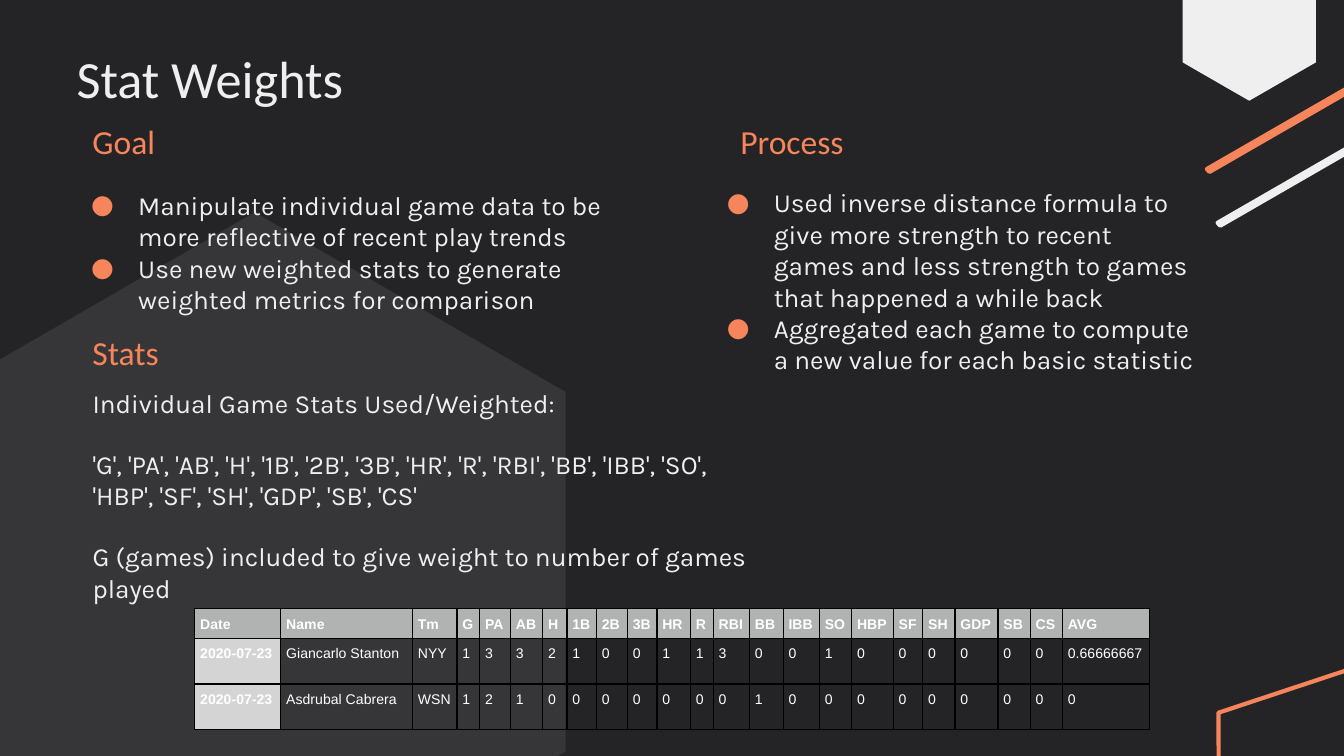
from lxml import etree
from pptx import Presentation
from pptx.dml.color import RGBColor
from pptx.enum.shapes import MSO_SHAPE as Shape
from pptx.enum.text import MSO_ANCHOR as Anchor, MSO_AUTO_SIZE as AutoSize, PP_ALIGN as Align
from pptx.oxml.ns import qn
from pptx.util import Inches, Pt

DARK, PANEL, LIGHT, ORANGE = "242426", "363639", "EFEFEF", "F7855B"
HEADER_GREY, DATE_GREY, WHITE, BLACK = "B0B3B2", "D4D4D4", "FFFFFF", "000000"

TITLE = {"name": "Calibri", "size": Pt(28), "bold": False}
HEADING = {"name": "Calibri", "size": Pt(18)}
BODY = {"name": "Karla", "size": Pt(14)}
CELL = {"name": "Arial", "size": Pt(7.5)}
FRAME = {"word_wrap": True, "auto_size": AutoSize.NONE}
FRAME_MARGINS = ("margin_left", "margin_top", "margin_right", "margin_bottom")

GOALS = [
    "Manipulate individual game data to be more reflective of recent play trends",
    "Use new weighted stats to generate weighted metrics for comparison",
]
PROCESS = [
    "Used inverse distance formula to give more strength to recent games "
    "and less strength to games that happened a while back",
    "Aggregated each game to compute a new value for each basic statistic",
]
STATS = [
    "Individual Game Stats Used/Weighted:",
    "'G', 'PA', 'AB', 'H', '1B', '2B', '3B', 'HR', 'R', 'RBI', 'BB', 'IBB', 'SO', "
    "'HBP', 'SF', 'SH', 'GDP', 'SB', 'CS'",
    "G (games) included to give weight to number of games played",
]
GAME_ROWS = [
    ["Date", "Name", "Tm", *"G PA AB H 1B 2B 3B HR R RBI BB IBB SO HBP SF SH GDP SB CS AVG".split()],
    ["2020-07-23", "Giancarlo Stanton", "NYY", *"1332100113001000000", "0.66666667"],
    ["2020-07-23", "Asdrubal Cabrera", "WSN", *"1210000000100000000", "0"],
]
COLUMN_WIDTHS = [0.64, 0.98, 0.33, 0.17, 0.23, 0.24, 0.18, 0.22, 0.23, 0.22, 0.25, 0.17,
                 0.27, 0.25, 0.27, 0.24, 0.31, 0.22, 0.24, 0.32, 0.24, 0.24, 0.65]
ROW_HEIGHTS = [0.22, 0.34, 0.34]


def color(value):
    return RGBColor.from_string(value)


def set_values(target, values):
    for name, value in values.items():
        setattr(target, name, value)


def paint(fill, value):
    fill.solid()
    fill.fore_color.rgb = color(value)


def style_font(font, values, value):
    set_values(font, values)
    font.color.rgb = color(value)


def add_outline(slide, box, fractions, value, line_width=None):
    left, top, width, height = box
    points = [(Inches(left + x * width), Inches(top + y * height)) for x, y in fractions]
    builder = slide.shapes.build_freeform(*points[0])
    builder.add_line_segments(points[1:], close=True)
    shape = builder.convert_to_shape()
    shape.shadow.inherit = False
    paint(shape.fill, value)
    if line_width:
        shape.line.width = Pt(line_width)
        shape.line.color.rgb = color(value)
        etree.SubElement(shape.line._get_or_add_ln(), qn("a:round"))
    else:
        shape.line.fill.background()


def add_hexagon(slide, box, value):
    corners = [(0.5, 0), (0, 0.25), (0, 0.75), (0.5, 1), (1, 0.75), (1, 0.25)]
    add_outline(slide, box, corners, value)


def add_stripe(slide, box, value):
    corners = [(0.99, 0), (0, 0.98), (0.01, 1), (1, 0.02)]
    add_outline(slide, box, corners, value, 2.25)


def add_pentagon(slide, box):
    shape = slide.shapes.add_shape(Shape.REGULAR_PENTAGON, *map(Inches, box))
    shape.rotation = 305.7
    shape.shadow.inherit = False
    shape.fill.background()
    shape.line.width = Pt(2.25)
    shape.line.color.rgb = color(ORANGE)


def add_bullet(paragraph):
    properties = paragraph._p.get_or_add_pPr()
    properties.set("marL", str(Inches(0.5)))
    properties.set("indent", str(-Inches(0.35)))
    bullet_color = etree.SubElement(properties, qn("a:buClr"))
    etree.SubElement(bullet_color, qn("a:srgbClr"), val=ORANGE)
    etree.SubElement(properties, qn("a:buFont"), typeface=BODY["name"])
    etree.SubElement(properties, qn("a:buChar"), char="●")


def fill_text(shape, lines, font, value, anchor=Anchor.TOP, bullets=False, gap=0):
    frame = shape.text_frame
    set_values(frame, FRAME | {"vertical_anchor": anchor})
    set_values(frame, dict.fromkeys(FRAME_MARGINS, Inches(0.1)))
    for index, line in enumerate(lines):
        paragraph = frame.add_paragraph() if index else frame.paragraphs[0]
        if bullets:
            add_bullet(paragraph)
        paragraph.text = line
        paragraph.alignment = Align.LEFT
        paragraph.space_before = Pt(gap if index else 0)
        style_font(paragraph.font, font, value)


def add_title(slide, box, text):
    title = slide.shapes.title
    set_values(title, dict(zip(("left", "top", "width", "height"), map(Inches, box))))
    fill_text(title, [text], TITLE, LIGHT, Anchor.BOTTOM)


def add_heading(slide, box, text):
    fill_text(slide.shapes.add_textbox(*map(Inches, box)), [text], HEADING, ORANGE, Anchor.BOTTOM)


def add_body(slide, box, lines, **options):
    fill_text(slide.shapes.add_textbox(*map(Inches, box)), lines, BODY, LIGHT, **options)


def add_borders(cell):
    properties = cell._tc.get_or_add_tcPr()
    for side in ("lnL", "lnR", "lnT", "lnB"):
        line = etree.SubElement(properties, qn(f"a:{side}"), w=str(Pt(0.75)))
        fill = etree.SubElement(line, qn("a:solidFill"))
        etree.SubElement(fill, qn("a:srgbClr"), val=BLACK)


def add_game_table(slide, left, top):
    box = (left, top, sum(COLUMN_WIDTHS), sum(ROW_HEIGHTS))
    frame = slide.shapes.add_table(len(GAME_ROWS), len(COLUMN_WIDTHS), *map(Inches, box))
    table = frame.table
    set_values(table, {"first_row": False, "horz_banding": False})
    for column, width in zip(table.columns, COLUMN_WIDTHS):
        column.width = Inches(width)
    for row, height in zip(table.rows, ROW_HEIGHTS):
        row.height = Inches(height)
    for row_index, values in enumerate(GAME_ROWS):
        for column_index, value in enumerate(values):
            cell = table.cell(row_index, column_index)
            set_values(cell, dict.fromkeys(FRAME_MARGINS, Inches(0.04)))
            add_borders(cell)
            if row_index == 0:
                paint(cell.fill, HEADER_GREY)
            elif column_index == 0:
                paint(cell.fill, DATE_GREY)
            else:
                cell.fill.background()
            paragraph = cell.text_frame.paragraphs[0]
            paragraph.text = value
            paragraph.line_spacing = 1.15
            bold = row_index == 0 or column_index == 0
            style_font(paragraph.font, CELL | {"bold": bold}, WHITE)


def add_decoration(slide):
    add_hexagon(slide, (-0.42, 1.58, 4.63, 5.35), PANEL)
    add_hexagon(slide, (8.8, -0.39, 0.99, 1.14), LIGHT)
    add_pentagon(slide, (8.88, 4.98, 1.63, 1.55))
    add_stripe(slide, (9.06, 0.58, 1.89, 1.1), LIGHT)
    add_stripe(slide, (8.98, 0.18, 1.89, 1.1), ORANGE)


def main():
    presentation = Presentation()
    set_values(presentation, {"slide_width": Inches(10), "slide_height": Inches(10 * 9 / 16)})
    slide = presentation.slides.add_slide(presentation.slide_layouts[5])
    paint(slide.background.fill, DARK)
    add_decoration(slide)
    add_title(slide, (0.47, 0.28, 8.88, 0.63), "Stat Weights")
    add_heading(slide, (0.59, 0.84, 3.34, 0.46), "Goal")
    add_body(slide, (0.43, 1.31, 4.45, 1.25), GOALS, bullets=True)
    add_heading(slide, (5.41, 0.84, 3.34, 0.46), "Process")
    add_body(slide, (5.16, 1.29, 3.83, 2.1), PROCESS, bullets=True)
    add_heading(slide, (0.59, 2.41, 3.34, 0.46), "Stats")
    add_body(slide, (0.59, 2.78, 5.22, 1.57), STATS, gap=16)
    add_game_table(slide, 1.45, 4.53)
    presentation.save("out.pptx")


if __name__ == "__main__":
    main()
